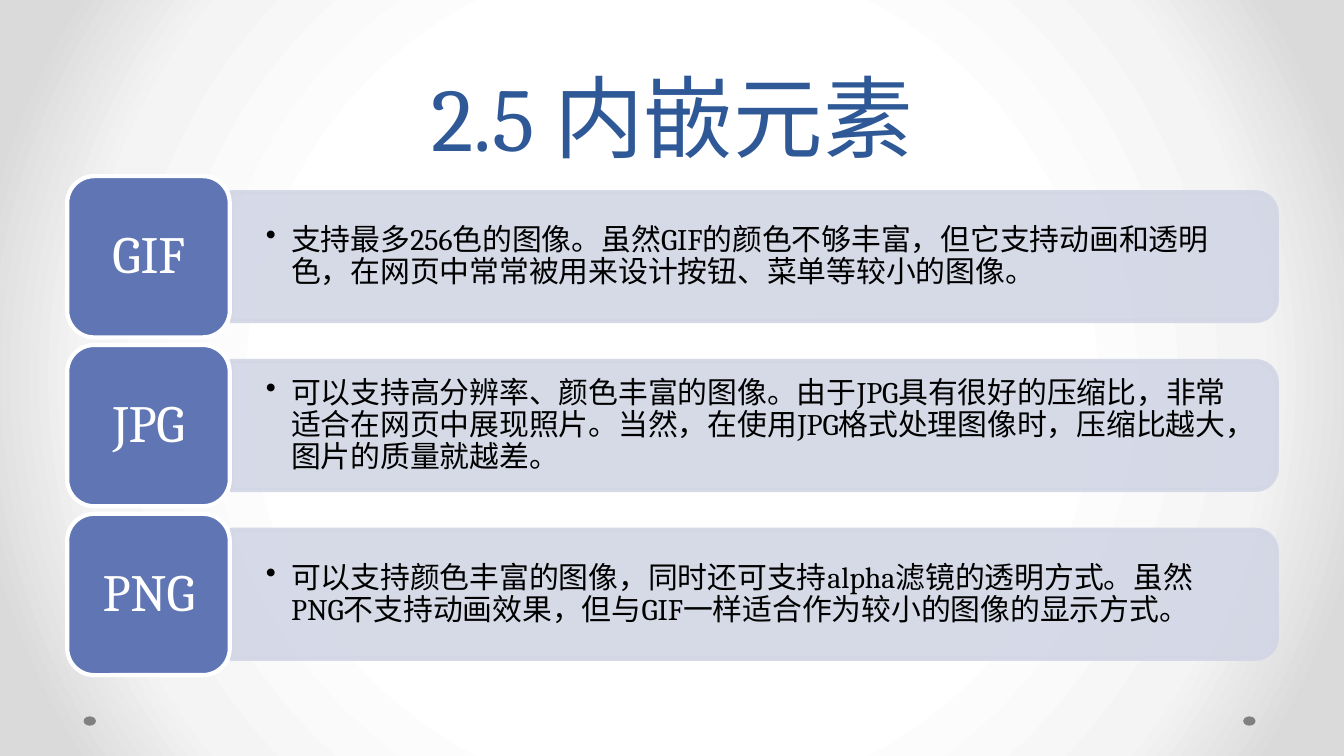
from lxml import etree
from pptx import Presentation
from pptx.dml.color import RGBColor
from pptx.enum.shapes import MSO_SHAPE
from pptx.enum.text import MSO_ANCHOR, PP_ALIGN
from pptx.oxml import parse_xml
from pptx.oxml.ns import nsdecls, qn
from pptx.util import Pt

ELLIPSE = MSO_SHAPE.OVAL
ROUNDED = MSO_SHAPE.ROUNDED_RECTANGLE
ROUND_TOP = MSO_SHAPE.ROUND_2_SAME_RECTANGLE
CENTER, LEFT = PP_ALIGN.CENTER, PP_ALIGN.LEFT
MIDDLE, BOTTOM = MSO_ANCHOR.MIDDLE, MSO_ANCHOR.BOTTOM
FONT = "Cambria"
PANEL = "D2D6E5"
ROW_PITCH = 90.45
FORMATS = [
    ("GIF", "支持最多256色的图像。虽然GIF的颜色不够丰富，但它支持动画和透明色，"
            "在网页中常常被用来设计按钮、菜单等较小的图像。"),
    ("JPG", "可以支持高分辨率、颜色丰富的图像。由于JPG具有很好的压缩比，"
            "非常适合在网页中展现照片。当然，在使用JPG格式处理图像时，"
            "压缩比越大，图片的质量就越差。"),
    ("PNG", "可以支持颜色丰富的图像，同时还可支持alpha滤镜的透明方式。"
            "虽然PNG不支持动画效果，但与GIF一样适合作为较小的图像的显示方式。"),
]

presentation = Presentation()
presentation.slide_width, presentation.slide_height = Pt(720), Pt(405)
slide = presentation.slides.add_slide(presentation.slide_layouts[5])


def add_shape(kind, left, top, width, height, fill, line=None):
    shape = slide.shapes.add_shape(kind, Pt(left), Pt(top), Pt(width), Pt(height))
    shape.shadow.inherit = False
    shape.fill.solid()
    shape.fill.fore_color.rgb = RGBColor.from_string(fill)
    if line:
        shape.line.color.rgb = RGBColor.from_string(line)
        shape.line.width = Pt(2.25)
    else:
        shape.line.fill.background()
    return shape


def write_text(shape, text, size, color, align, anchor, inset_x, inset_y):
    frame = shape.text_frame
    frame.word_wrap = True
    frame.vertical_anchor = anchor
    frame.margin_left = frame.margin_right = Pt(inset_x)
    frame.margin_top = frame.margin_bottom = Pt(inset_y)
    paragraph = frame.paragraphs[0]
    paragraph.text = text
    paragraph.alignment = align
    paragraph.line_spacing = 0.9
    paragraph.font.name = FONT
    paragraph.font.size = Pt(size)
    paragraph.font.color.rgb = RGBColor.from_string(color)
    return paragraph


# Radial background
slide.background.fill.gradient()
gradient = slide.element.find(".//" + qn("a:gradFill"))
stops = "".join(
    f'<a:gs pos="{position * 1000}"><a:srgbClr val="{color}"/></a:gs>'
    for position, color in [(50, "FFFFFF"), (76, "F4F4F4"), (92, "DADADA")])
gradient.getparent().replace(gradient, parse_xml(
    f'<a:gradFill {nsdecls("a")} rotWithShape="1"><a:gsLst>{stops}</a:gsLst>'
    '<a:path path="circle"><a:fillToRect l="50000" t="50000" r="50000" b="50000"/>'
    '</a:path></a:gradFill>'))

# Footer dots
for left in (666, 44.8):
    add_shape(ELLIPSE, left, 383.8, 6.6, 5, "808080")

# Title
title = slide.shapes.title
title.left, title.top, title.width, title.height = Pt(36), Pt(0), Pt(648), Pt(94.5)
heading = write_text(title, "2.5 内嵌元素", 48, "2F5897", CENTER, BOTTOM, 7.2, 3.6)
heading.line_spacing = Pt(58)

# One row per image format
for row, (name, description) in enumerate(FORMATS):
    offset = row * ROW_PITCH

    # Panel, turned so that its rounded corners face right
    panel = add_shape(ROUND_TOP, 369.4, offset - 142.6, 69.1, 560.2, PANEL, PANEL)
    panel.rotation = 90
    for color in panel.element.spPr.iter(qn("a:srgbClr")):
        etree.SubElement(color, qn("a:alpha"), val="90000")

    # Description
    box = slide.shapes.add_textbox(Pt(123.1), Pt(106.6 + offset), Pt(557.2), Pt(62))
    paragraph = write_text(box, description, 16, "000000", LEFT, MIDDLE, 19.4, 10)
    paragraph.space_after = Pt(2.4)
    properties = paragraph._p.get_or_add_pPr()
    properties.set("marL", str(Pt(13.5)))
    properties.set("indent", str(Pt(-13.5)))
    etree.SubElement(properties, qn("a:buChar"), char="•")
    properties.append(properties.find(qn("a:defRPr")))

    # Badge and its name
    add_shape(ROUNDED, 36, 94.4 + offset, 87.1, 86.4, "6076B4", "FFFFFF")
    label = slide.shapes.add_textbox(Pt(40.2), Pt(98.6 + offset), Pt(78.9), Pt(78))
    paragraph = write_text(label, name, 28, "FFFFFF", CENTER, MIDDLE, 8.4, 4.2)
    paragraph.space_after = Pt(9.8)

presentation.save("out.pptx")
